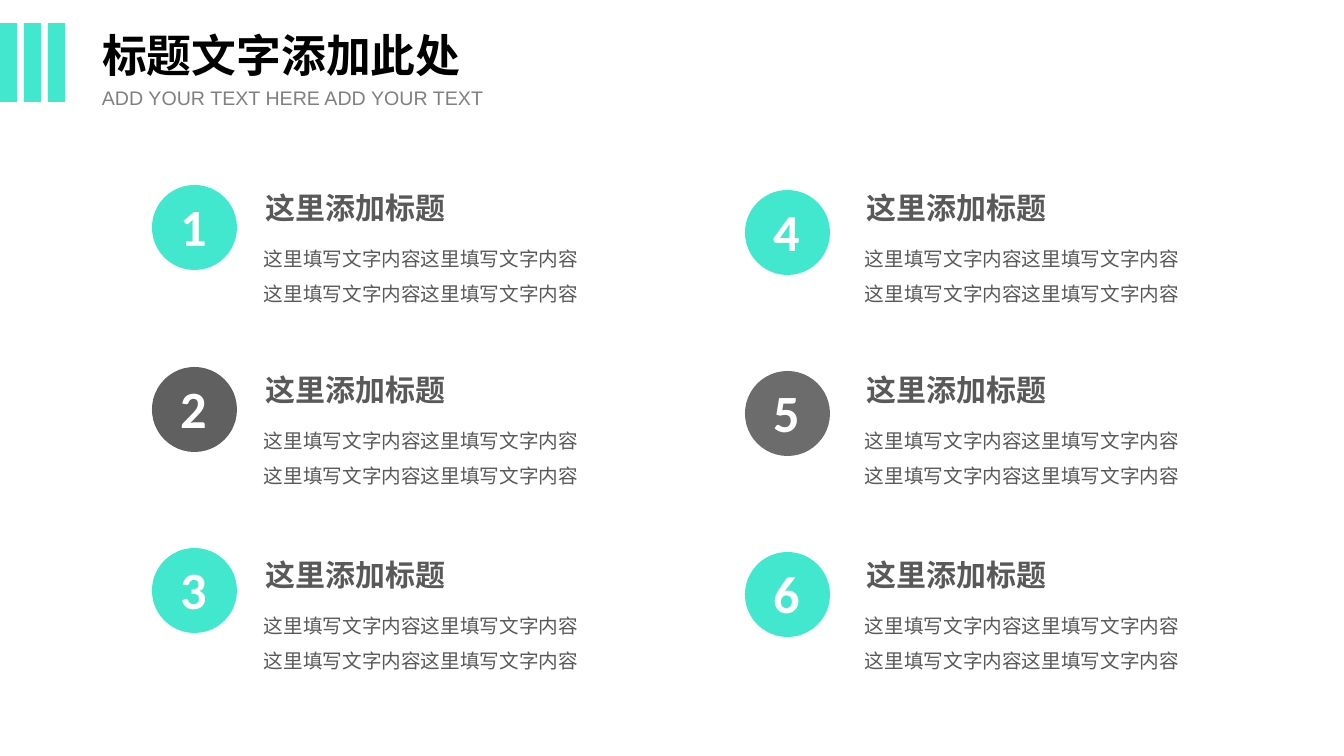
import dataclasses

import pptx
import pptx.dml.color
import pptx.enum.shapes
import pptx.enum.text
import pptx.util

SHAPES = pptx.enum.shapes.MSO_SHAPE
ALIGN = pptx.enum.text.PP_ALIGN
ANCHOR = pptx.enum.text.MSO_ANCHOR


@dataclasses.dataclass(frozen=True)
class TextStyle:
    """Font, size, colour and weight of one kind of text."""
    font: str
    size: float
    color: str
    bold: bool = False
    line_spacing: float = 1.0


@dataclasses.dataclass(frozen=True)
class Theme:
    """Colours and type styles of the slide."""
    accent: str = "42E8CE"
    dark_gray: str = "606060"
    mid_gray: str = "6C6C6C"
    title: TextStyle = TextStyle("Arial", 32, "000000", True)
    subtitle: TextStyle = TextStyle("Arial", 14, "808080")
    number: TextStyle = TextStyle("Calibri", 37.4, "FFFFFF", True)
    heading: TextStyle = TextStyle("Calibri", 21.4, "595959", True)
    body: TextStyle = TextStyle("Calibri", 14, "595959", line_spacing=1.5)


def px(length):
    """Turn pixels into EMU."""
    return pptx.util.Emu(round(length * 914400 / 100.8))


class SlideBuilder:
    """Draws styled elements on the current slide."""

    def __init__(self, slide, theme):
        """Keep the slide and its theme."""
        self.slide = slide
        self.theme = theme

    def add_span(self, frame, text, style, align=ALIGN.LEFT):
        """Put one styled run into a text frame."""
        para = frame.paragraphs[0]
        para.alignment = align
        para.line_spacing = style.line_spacing
        span = para.add_run()
        span.text = text
        span.font.name = style.font
        span.font.size = pptx.util.Pt(style.size)
        span.font.bold = style.bold
        span.font.color.rgb = pptx.dml.color.RGBColor.from_string(style.color)

    def title(self, text, left, top, width, height):
        """Fill and place the title placeholder."""
        box = self.slide.shapes.title
        box.left, box.top, box.width, box.height = map(px, (left, top, width, height))
        frame = box.text_frame
        frame.word_wrap = False
        frame.auto_size = pptx.enum.text.MSO_AUTO_SIZE.NONE
        frame.vertical_anchor = ANCHOR.TOP
        self.add_span(frame, text, self.theme.title)

    def text(self, text, style, left, top, width, height):
        """Add a wrapping text box."""
        box = self.slide.shapes.add_textbox(*map(px, (left, top, width, height)))
        box.text_frame.word_wrap = True
        self.add_span(box.text_frame, text, style)

    def shape(self, kind, color, left, top, width, height):
        """Add a flat filled shape without outline."""
        shape = self.slide.shapes.add_shape(kind, *map(px, (left, top, width, height)))
        shape.shadow.inherit = False
        shape.fill.solid()
        shape.fill.fore_color.rgb = pptx.dml.color.RGBColor.from_string(color)
        shape.line.fill.background()
        return shape

    def badge(self, number, color, left, top):
        """Add a numbered circle."""
        circle = self.shape(SHAPES.OVAL, color, left, top, 85, 85)
        frame = circle.text_frame
        frame.margin_left = frame.margin_top = 0
        frame.margin_right, frame.margin_bottom = px(2), px(4)
        frame.vertical_anchor = ANCHOR.MIDDLE
        self.add_span(frame, str(number), self.theme.number, ALIGN.CENTER)

    def item(self, heading, body, left, top):
        """Add a heading with its body text below."""
        self.text(heading, self.theme.heading, left + 2, top, 306, 46)
        self.text(body, self.theme.body, left, top + 45, 348, 78)


def main():
    """Build and save the slide."""
    deck = pptx.Presentation()
    deck.slide_width, deck.slide_height = px(1344), px(756)
    theme = Theme()
    page = SlideBuilder(deck.slides.add_slide(deck.slide_layouts[5]), theme)

    for bar in range(3):
        page.shape(SHAPES.RECTANGLE, theme.accent, bar * 24, 23, 17, 79)
    page.title("标题文字添加此处", 92, 23, 382, 65)
    page.text("ADD YOUR TEXT HERE ADD YOUR TEXT", theme.subtitle, 92, 81, 523, 34)

    # Each column: badge left, text left, badge tops, badge colours
    columns = [
        (152, 254, (185, 367, 548), (theme.accent, theme.dark_gray, theme.accent)),
        (745, 855, (190, 371, 552), (theme.accent, theme.mid_gray, theme.accent)),
    ]
    item_tops = (185, 367, 552)
    number = 0
    for badge_left, text_left, badge_tops, colors in columns:
        for badge_top, item_top, color in zip(badge_tops, item_tops, colors):
            number += 1
            page.badge(number, color, badge_left, badge_top)
            page.item("这里添加标题", "这里填写文字内容" * 4, text_left, item_top)

    deck.save("out.pptx")


main()
